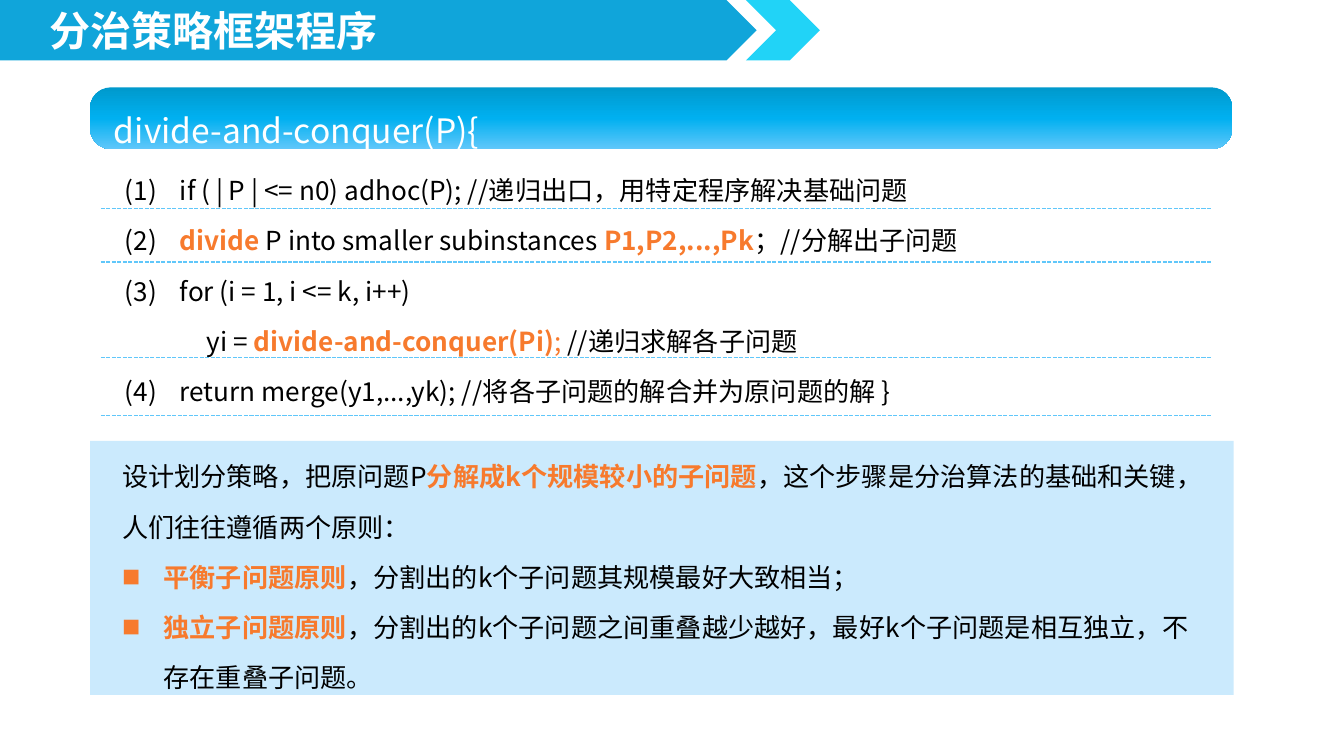
from copy import deepcopy

from lxml import etree
from pptx import Presentation
from pptx.dml.color import RGBColor
from pptx.enum.dml import MSO_LINE
from pptx.enum.shapes import MSO_CONNECTOR, MSO_SHAPE
from pptx.enum.text import MSO_AUTO_SIZE
from pptx.oxml.ns import qn
from pptx.util import Inches, Pt

STRAIGHT = MSO_CONNECTOR.STRAIGHT
DASH = MSO_LINE.SQUARE_DOT
FIT = MSO_AUTO_SIZE.SHAPE_TO_FIT_TEXT
RECT, ROUND = MSO_SHAPE.RECTANGLE, MSO_SHAPE.ROUNDED_RECTANGLE
PENTAGON, CHEVRON = MSO_SHAPE.PENTAGON, MSO_SHAPE.CHEVRON
FONT = "Noto Sans CJK SC"
BLACK, WHITE, ORANGE, SKY = "000000", "FFFFFF", "F77A2D", "60C7FA"

PLAIN = {"color": BLACK, "bold": False}
KEY = {"color": ORANGE, "bold": True}
MARK = {"color": ORANGE, "bold": False}
HEAD = {"color": WHITE, "bold": False}
TITLE = {"color": WHITE, "bold": True}

STEP = {"margin": 0.41, "indent": -0.41}
NESTED = {"margin": 0.61, "indent": 0}
FLUSH = {"margin": 0, "indent": 0}
BULLET = {"margin": 0.31, "indent": -0.31, "bullet": "■"}

CODE = [
    (STEP, [("(1)\tif ( | P | <= n0) adhoc(P); //递归出口，用特定程序解决基础问题", PLAIN)]),
    (STEP, [("(2)\t", PLAIN), ("divide", KEY), (" P into smaller subinstances ", PLAIN),
            ("P1,P2,...,Pk", KEY), ("；//分解出子问题", PLAIN)]),
    (STEP, [("(3)\tfor (i = 1, i <= k, i++)", PLAIN)]),
    (NESTED, [("yi = ", PLAIN), ("divide-and-conquer(Pi)", KEY), ("; ", MARK),
              ("//递归求解各子问题", PLAIN)]),
    (STEP, [("(4)\treturn merge(y1,...,yk); //将各子问题的解合并为原问题的解 }", PLAIN)]),
]
PRINCIPLES = [
    (FLUSH, [("设计划分策略，把原问题P", PLAIN), ("分解成k个规模较小的子问题", KEY),
             ("，这个步骤是分治算法的基础和关键，人们往往遵循两个原则：", PLAIN)]),
    (BULLET, [("平衡子问题原则", KEY), ("，分割出的k个子问题其规模最好大致相当；", PLAIN)]),
    (BULLET, [("独立子问题原则", KEY),
              ("，分割出的k个子问题之间重叠越少越好，最好k个子问题是相互独立，不存在重叠子问题。", PLAIN)]),
]


def rgb(value):
    return RGBColor.from_string(value)


class SlideBuilder:
    def __init__(self, slide, font):
        self.shapes = slide.shapes
        self.font = font

    def shape(self, kind, box, color=None):
        sp = self.shapes.add_shape(kind, *map(Inches, box))
        sp.shadow.inherit = False
        sp.line.fill.background()
        if color:
            sp.fill.solid()
            sp.fill.fore_color.rgb = rgb(color)
        return sp

    def gradient(self, sp, colors):
        """Fill sp from top to bottom with evenly spaced colours."""
        fill = sp.fill
        fill.gradient()
        fill.gradient_angle = 270
        stops = sp._element.spPr.find(".//" + qn("a:gsLst"))
        for _ in range(len(colors) - len(stops)):
            stops.append(deepcopy(stops[0]))
        for i, (stop, color) in enumerate(zip(fill.gradient_stops, colors)):
            stop.position = i / (len(colors) - 1)
            stop.color.rgb = rgb(color)

    def rule(self, x1, x2, y, color):
        line = self.shapes.add_connector(STRAIGHT, *map(Inches, (x1, y, x2, y)))
        line.line.color.rgb = rgb(color)
        line.line.width = Pt(0.75)
        line.line.dash_style = DASH
        etree.SubElement(line._element.spPr, qn("a:effectLst"))

    def text(self, box, paragraphs, size, spacing, wrap=True, fit=True):
        tf = self.shapes.add_textbox(*map(Inches, box)).text_frame
        tf.word_wrap = wrap
        if fit:
            tf.auto_size = FIT
        for i, (layout, runs) in enumerate(paragraphs):
            p = tf.paragraphs[0] if i == 0 else tf.add_paragraph()
            p.line_spacing = spacing
            self.layout(p, layout)
            for words, style in runs:
                self.run(p, words, size, style)

    def layout(self, p, layout):
        """Set the indents of a paragraph and its bullet, if any."""
        pPr = p._p.get_or_add_pPr()
        pPr.set("marL", str(Inches(layout["margin"])))
        pPr.set("indent", str(Inches(layout["indent"])))
        if "bullet" in layout:
            color = etree.SubElement(pPr, qn("a:buClr"))
            etree.SubElement(color, qn("a:srgbClr"), val=ORANGE)
            etree.SubElement(pPr, qn("a:buSzPct"), val="70000")
            etree.SubElement(pPr, qn("a:buFont"), typeface=self.font)
            etree.SubElement(pPr, qn("a:buChar"), char=layout["bullet"])

    def run(self, p, words, size, style):
        r = p.add_run()
        r.text = words
        values = {"name": self.font, "size": Pt(size), "bold": style["bold"]}
        for name, value in values.items():
            setattr(r.font, name, value)
        r.font.color.rgb = rgb(style["color"])
        etree.SubElement(r._r.get_or_add_rPr(), qn("a:ea"), typeface=self.font)


def main():
    prs = Presentation()
    prs.slide_width = Inches(10)
    prs.slide_height = prs.slide_width * 9 // 16
    s = SlideBuilder(prs.slides.add_slide(prs.slide_layouts[6]), FONT)

    s.shape(PENTAGON, (0, 0, 5.63, 0.45), "10A5DA")
    s.shape(CHEVRON, (5.55, 0, 0.55, 0.45), "21D3F7")
    s.text((0.27, 0.06, 2.67, 0.4), [(FLUSH, [("分治策略框架程序", TITLE)])], 22, 0.8, wrap=False)

    header = s.shape(ROUND, (0.67, 0.65, 8.5, 0.46))
    header.adjustments[0] = 0.34
    s.gradient(header, ["0099CC", "00B0F0", SKY])
    s.text((0.75, 0.53, 8.5, 0.71), [(FLUSH, [("divide-and-conquer(P){", HEAD)])], 18, 1.8, fit=False)

    s.text((0.83, 1.11, 8.58, 1.99), CODE, 14, 1.6)
    for y in (1.55, 1.95, 2.66, 3.09):
        s.rule(0.75, 9.02, y, SKY)

    s.shape(RECT, (0.67, 3.28, 8.51, 1.89), "CBEAFD")
    s.text((0.81, 3.24, 8.26, 1.99), PRINCIPLES, 14, 1.6)

    prs.save("out.pptx")


if __name__ == "__main__":
    main()
